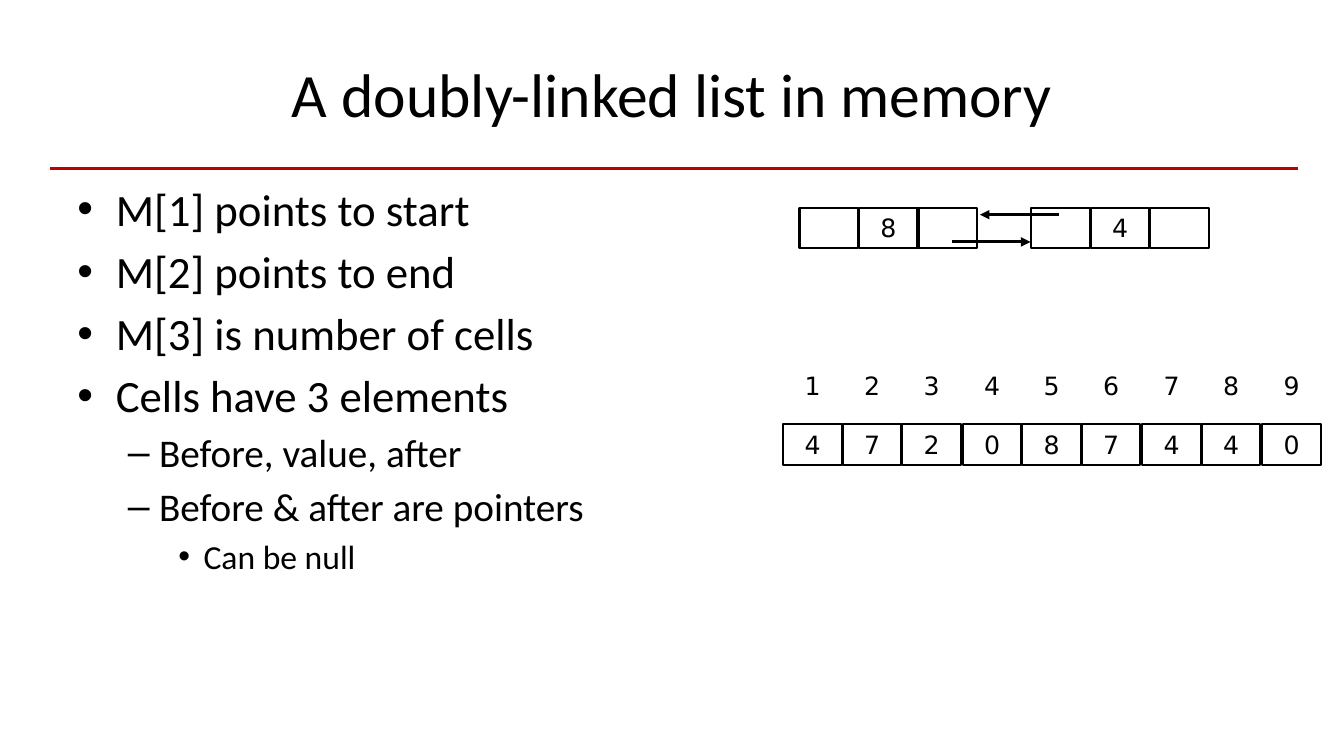
from lxml import etree
from pptx import Presentation, util as u
from pptx.dml.color import RGBColor
from pptx.enum import shapes, text
from pptx.oxml.ns import qn

PX = 9144  # EMU per px, 100 px to the inch
THEME = dict(
    ink=RGBColor(0, 0, 0), rule=RGBColor(0xC0, 0, 0),
    heading="Calibri", digits="DejaVu Sans",
    title=44, levels=(32, 28, 24), cell=18,
)


def write(frame, words, size, font=THEME["heading"], align=text.PP_ALIGN.LEFT,
          anchor=text.MSO_ANCHOR.MIDDLE, before=0, level=0, bullet=None, indent=(0, 0)):
    """Put words in the frame's empty first paragraph, or in a new one."""
    frame.word_wrap = True
    frame.vertical_anchor = anchor
    paragraph = frame.paragraphs[0] if not frame.text else frame.add_paragraph()
    paragraph.alignment, paragraph.level = align, level
    paragraph.space_before = u.Pt(before)
    run = paragraph.add_run()
    run.text = words
    run.font.size, run.font.name = u.Pt(size), font
    run.font.color.rgb = THEME["ink"]
    if bullet:
        props = paragraph._p.get_or_add_pPr()
        props.set("marL", str(indent[0] * PX))
        props.set("indent", str(-indent[1] * PX))
        etree.SubElement(props, qn("a:buFont")).set("typeface", "Arial")
        etree.SubElement(props, qn("a:buChar")).set("char", bullet)


def draw_line(x1, y1, x2, y2, color, width, arrow=False):
    line = slide.shapes.add_connector(
        shapes.MSO_CONNECTOR.STRAIGHT, x1 * PX, y1 * PX, x2 * PX, y2 * PX)
    line.line.color.rgb, line.line.width = color, u.Pt(width)
    if arrow:
        etree.SubElement(line.line._get_or_add_ln(), qn("a:tailEnd")).set("type", "triangle")
    etree.SubElement(line._element.spPr, qn("a:effectLst"))


deck = Presentation()
deck.slide_width, deck.slide_height = 1333 * PX, 750 * PX
slide = deck.slides.add_slide(deck.slide_layouts[6])

# Title and rule
draw_line(50, 167, 1287, 167, THEME["rule"], 2)
title = slide.shapes.add_textbox(67 * PX, 30 * PX, 1200 * PX, 125 * PX)
write(title.text_frame, "A doubly-linked list in memory", THEME["title"],
      align=text.PP_ALIGN.CENTER)

# Explanation: bullet, indent and spacing follow from the level
BULLETS = (("•", (38, 38), 6), ("–", (81, 31), 5), ("•", (125, 25), 4))
explanation = slide.shapes.add_textbox(67 * PX, 175 * PX, 561 * PX, 479 * PX)
for level, words in (
    (0, "M[1] points to start"),
    (0, "M[2] points to end"),
    (0, "M[3] is number of cells"),
    (0, "Cells have 3 elements"),
    (1, "Before, value, after"),
    (1, "Before & after are pointers"),
    (2, "Can be null"),
):
    bullet, indent, before = BULLETS[level]
    write(explanation.text_frame, words, THEME["levels"][level], level=level,
          anchor=text.MSO_ANCHOR.TOP, before=before, bullet=bullet, indent=indent)

# Memory addresses, memory contents and the two list cells (before, value, after)
CELL_W, CELL_H = 58, 40
for left, top, span, boxed, values in (
    (777, 362, 475, False, "123456789"),
    (777, 421, 475, True, "472087440"),
    (793, 206, 118, True, ("", "8", "")),
    (1023, 206, 118, True, ("", "4", "")),
):
    for i, value in enumerate(values):
        x = left + span * i // (len(values) - 1)
        box = (x * PX, top * PX, CELL_W * PX, CELL_H * PX)
        if boxed:
            cell = slide.shapes.add_shape(shapes.MSO_SHAPE.RECTANGLE, *box)
            cell.shadow.inherit = False
            cell.fill.background()
            cell.line.color.rgb, cell.line.width = THEME["ink"], u.Pt(1.5)
        else:
            cell = slide.shapes.add_textbox(*box)
        if value:
            write(cell.text_frame, value, THEME["cell"], font=THEME["digits"],
                  align=text.PP_ALIGN.CENTER)

# Pointers between the list cells
draw_line(944, 240, 1022, 240, THEME["ink"], 2.25, arrow=True)
draw_line(1050, 213, 972, 213, THEME["ink"], 2.25, arrow=True)

deck.save("out.pptx")
